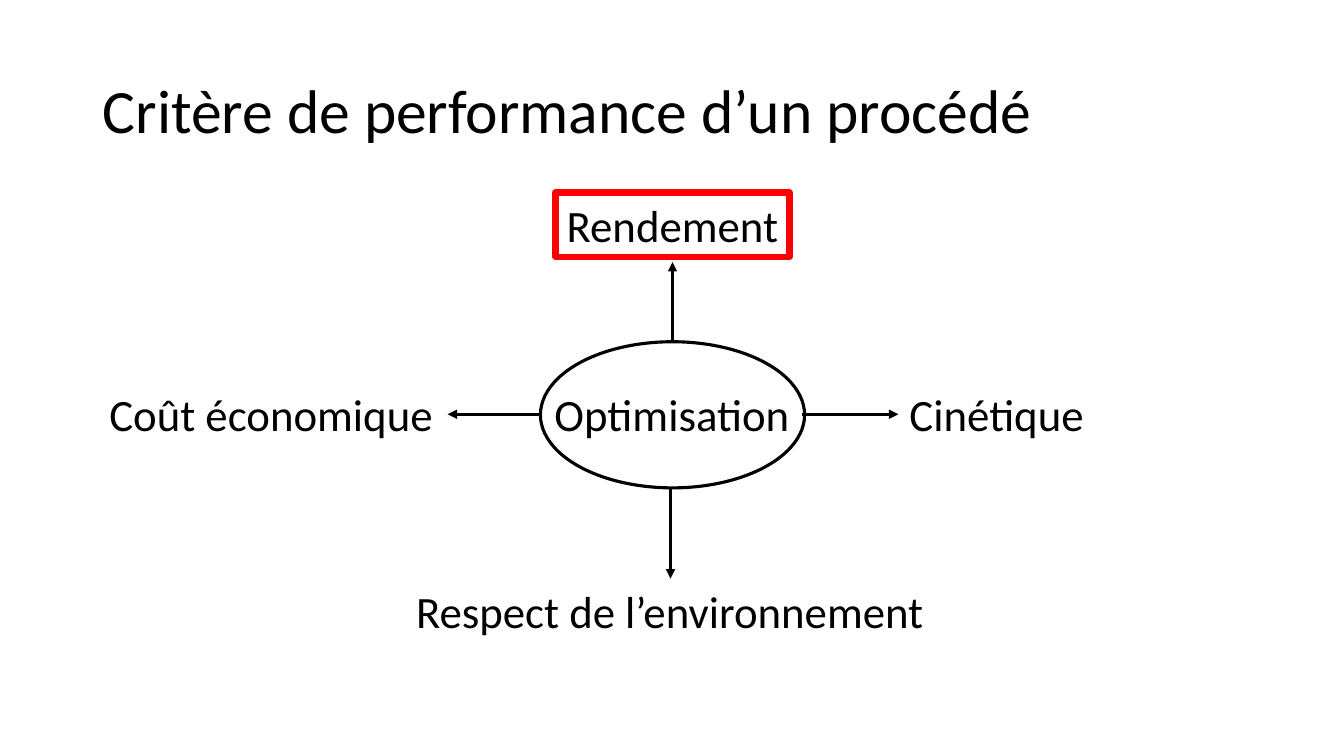
from lxml import etree
from pptx import Presentation
from pptx.dml.color import RGBColor
from pptx.enum import shapes, text
from pptx.oxml.ns import qn
from pptx.util import Inches, Pt

BLACK = RGBColor(0, 0, 0)
WHITE = RGBColor(255, 255, 255)
RED = RGBColor(255, 0, 0)


def style(para, size, align):
    para.alignment = align
    para.font.name = "Calibri"
    para.font.size = Pt(size)
    para.font.color.rgb = BLACK


def outline(kind, box, color, width):
    shape = slide.shapes.add_shape(kind, *map(Inches, box))
    shape.shadow.inherit = False
    shape.line.color.rgb = color
    shape.line.width = Pt(width)
    return shape


deck = Presentation()
deck.slide_width = Inches(13.33)
deck.slide_height = Inches(7.5)
slide = deck.slides.add_slide(deck.slide_layouts[5])

title = slide.shapes.title
title.left, title.top = Inches(0.92), Inches(0.4)
title.width, title.height = Inches(11.5), Inches(1.45)
frame = title.text_frame
frame.text = "Critère de performance d’un procédé"
frame.vertical_anchor = text.MSO_ANCHOR.MIDDLE
frame.paragraphs[0].line_spacing = 0.9
style(frame.paragraphs[0], 44, text.PP_ALIGN.LEFT)

hub = outline(shapes.MSO_SHAPE.OVAL, (5.36, 3.39, 2.62, 1.45), BLACK, 2.25)
hub.fill.solid()
hub.fill.fore_color.rgb = WHITE

# Arrows from the hub: up, right, down, left
arrows = [
    (6.67, 3.39, 6.67, 2.6),
    (7.95, 4.11, 8.91, 4.11),
    (6.65, 4.84, 6.65, 5.74),
    (5.36, 4.11, 4.44, 4.11),
]
for ends in arrows:
    arrow = slide.shapes.add_connector(
        shapes.MSO_CONNECTOR.STRAIGHT, *map(Inches, ends))
    arrow.line.color.rgb = BLACK
    arrow.line.width = Pt(2.25)
    props = arrow.line._get_or_add_ln()
    etree.SubElement(props, qn("a:tailEnd"), type="triangle")
    etree.SubElement(arrow._element.spPr, qn("a:effectLst"))

labels = [
    ("Optimisation", 5.38, 3.79, 2.57),
    ("Rendement", 5.51, 1.91, 2.32),
    ("Cinétique", 8.91, 3.79, 1.95),
    ("Respect de l’environnement", 4, 5.74, 5.29),
    ("Coût économique", 0.97, 3.79, 3.44),
]
for words, left, top, width in labels:
    label = slide.shapes.add_textbox(
        Inches(left), Inches(top), Inches(width), Inches(0.64))
    frame = label.text_frame
    frame.word_wrap = False
    frame.auto_size = text.MSO_AUTO_SIZE.SHAPE_TO_FIT_TEXT
    frame.text = words
    style(frame.paragraphs[0], 32, text.PP_ALIGN.CENTER)

focus = outline(shapes.MSO_SHAPE.RECTANGLE, (5.51, 1.91, 2.32, 0.64), RED, 4.5)
focus.fill.background()

deck.save("out.pptx")
